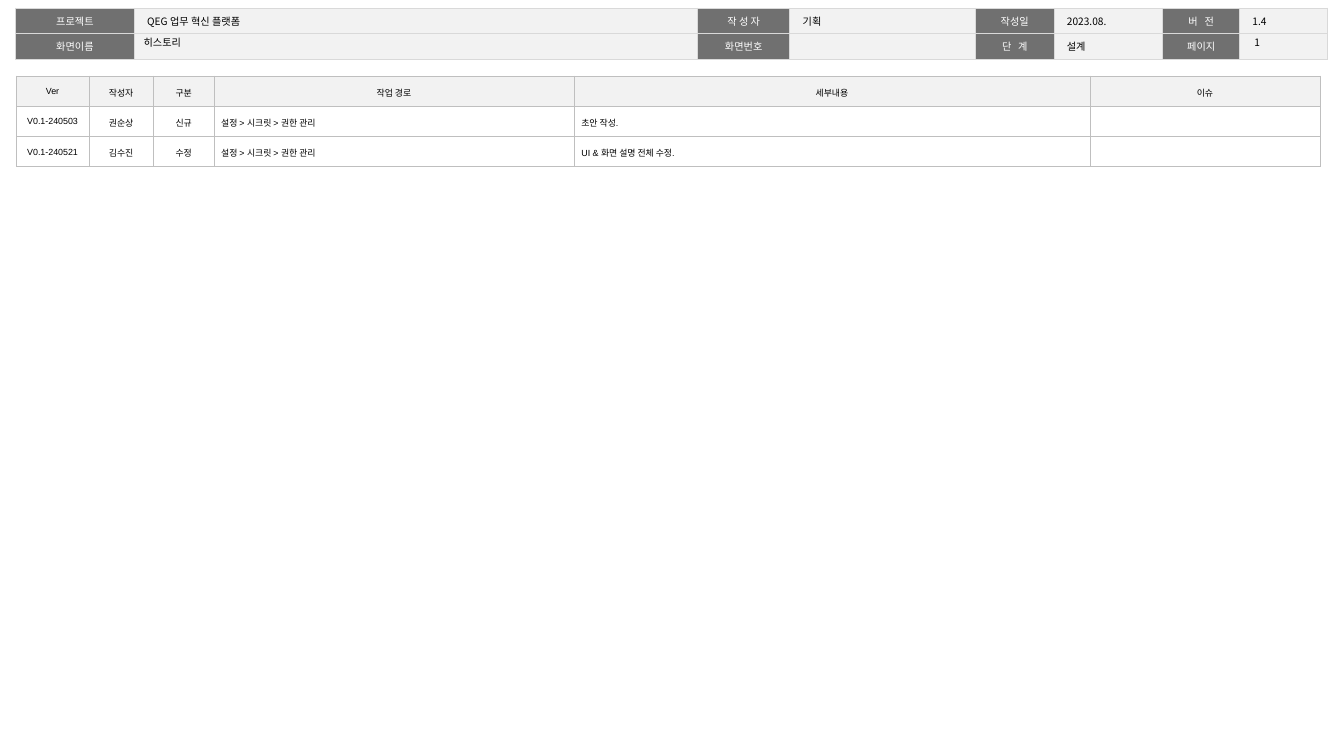
from lxml import etree
from pptx import Presentation
from pptx.dml.color import RGBColor
from pptx.enum.text import MSO_ANCHOR, PP_ALIGN
from pptx.oxml.ns import qn
from pptx.util import Inches, Pt

CENTER, LEFT = PP_ALIGN.CENTER, PP_ALIGN.LEFT
TOP, MIDDLE = MSO_ANCHOR.TOP, MSO_ANCHOR.MIDDLE
KOREAN = "Noto Sans CJK KR"
COLORS = {
    "label": "707070",
    "pale": "F2F2F2",
    "white": "FFFFFF",
    "black": "000000",
    "header_line": "D9D9D9",
    "history_line": "BFBFBF",
}


def format_text(frame, size, font, color, align, spacing):
    paragraph = frame.paragraphs[0]
    paragraph.alignment = align
    paragraph.line_spacing = spacing
    for run in paragraph.runs:
        run.font.size = Pt(size)
        run.font.name = font
        run.font.color.rgb = RGBColor.from_string(COLORS[color])
        etree.SubElement(run.font._element, qn("a:ea"), typeface=KOREAN)
    if not paragraph.runs:
        # An empty cell keeps the small text size so its row does not grow
        etree.SubElement(paragraph._p, qn("a:endParaRPr"), sz=str(size * 100))


def style_cell(cell, fill, line, line_width, anchor, margins):
    cell.vertical_anchor = anchor
    (cell.margin_left, cell.margin_top,
     cell.margin_right, cell.margin_bottom) = [Inches(m) for m in margins]
    properties = cell._tc.get_or_add_tcPr()
    for side in ("a:lnL", "a:lnR", "a:lnT", "a:lnB"):
        border = etree.SubElement(properties, qn(side), w=str(Pt(line_width)))
        paint = etree.SubElement(border, qn("a:solidFill"))
        etree.SubElement(paint, qn("a:srgbClr"), val=COLORS[line])
    cell.fill.solid()
    cell.fill.fore_color.rgb = RGBColor.from_string(COLORS[fill])


prs = Presentation()
prs.slide_width, prs.slide_height = Inches(14.7), Inches(8.27)
slide = prs.slides.add_slide(prs.slide_layouts[5])

# Document information
info_rows = [
    ["프로젝트", "QEG 업무 혁신 플랫폼", "작 성 자", "기획",
     "작성일", "2023.08.", "버   전", "1.4"],
    ["화면이름", "", "화면번호", "", "단   계", "설계", "페이지", ""],
]
info_widths = [1.3, 6.16, 1.01, 2.03, 0.86, 1.19, 0.84, 0.96]

# Revision history
history_rows = [
    ["Ver", "작성자", "구분", "작업 경로", "세부내용", "이슈"],
    ["V0.1-240503", "권순상", "신규", "설정 > 시크릿 > 권한 관리", "초안 작성.", ""],
    ["V0.1-240521", "김수진", "수정", "설정 > 시크릿 > 권한 관리",
     "UI & 화면 설명 전체 수정.", ""],
]
history_widths = [0.79, 0.71, 0.66, 3.94, 5.64, 2.52]

# Both tables
tables = []
for rows, widths, left, top, row_height in (
    (info_rows, info_widths, 0.17, 0.09, 0.28),
    (history_rows, history_widths, 0.18, 0.83, 0.33),
):
    table = slide.shapes.add_table(
        len(rows), len(widths), Inches(left), Inches(top),
        Inches(sum(widths)), Inches(row_height * len(rows))).table
    table.first_row = table.horz_banding = False
    for column, width in zip(table.columns, widths):
        column.width = Inches(width)
    for r, texts in enumerate(rows):
        table.rows[r].height = Inches(row_height)
        for c, text in enumerate(texts):
            table.cell(r, c).text_frame.text = text
    tables.append(table)
info_table, history_table = tables

# Information cells: labels alternate with values
for row in info_table.rows:
    for c, cell in enumerate(row.cells):
        is_label = c % 2 == 0
        style_cell(cell, "label" if is_label else "pale", "header_line", 1,
                   TOP, (0.14, 0.05, 0.14, 0.05))
        format_text(cell.text_frame, 8, KOREAN,
                    "white" if is_label else "black",
                    CENTER if is_label else LEFT, 1.05)

# History cells: headings and the first three columns are centred
for r, row in enumerate(history_table.rows):
    for c, cell in enumerate(row.cells):
        style_cell(cell, "pale" if r == 0 else "white", "history_line", 0.25,
                   MIDDLE, (0.08, 0.04, 0.08, 0.08))
        format_text(cell.text_frame, 7, "Arial", "black",
                    CENTER if r == 0 or c < 3 else LEFT, 1.5)

# Screen name and page number, in front of the information table
screen_name = slide.shapes.title
screen_name.left, screen_name.top = Inches(1.47), Inches(0.38)
screen_name.width, screen_name.height = Inches(5.42), Inches(0.16)
slide.shapes._spTree.append(screen_name._element)
page_number = slide.shapes.add_textbox(
    Inches(13.62), Inches(0.38), Inches(0.72), Inches(0.16))
for box, text in ((screen_name, "히스토리"), (page_number, "1")):
    frame = box.text_frame
    frame.text = text
    frame.word_wrap = True
    frame.vertical_anchor = MIDDLE
    format_text(frame, 8, KOREAN, "black", LEFT, 1.0)

prs.save("out.pptx")
